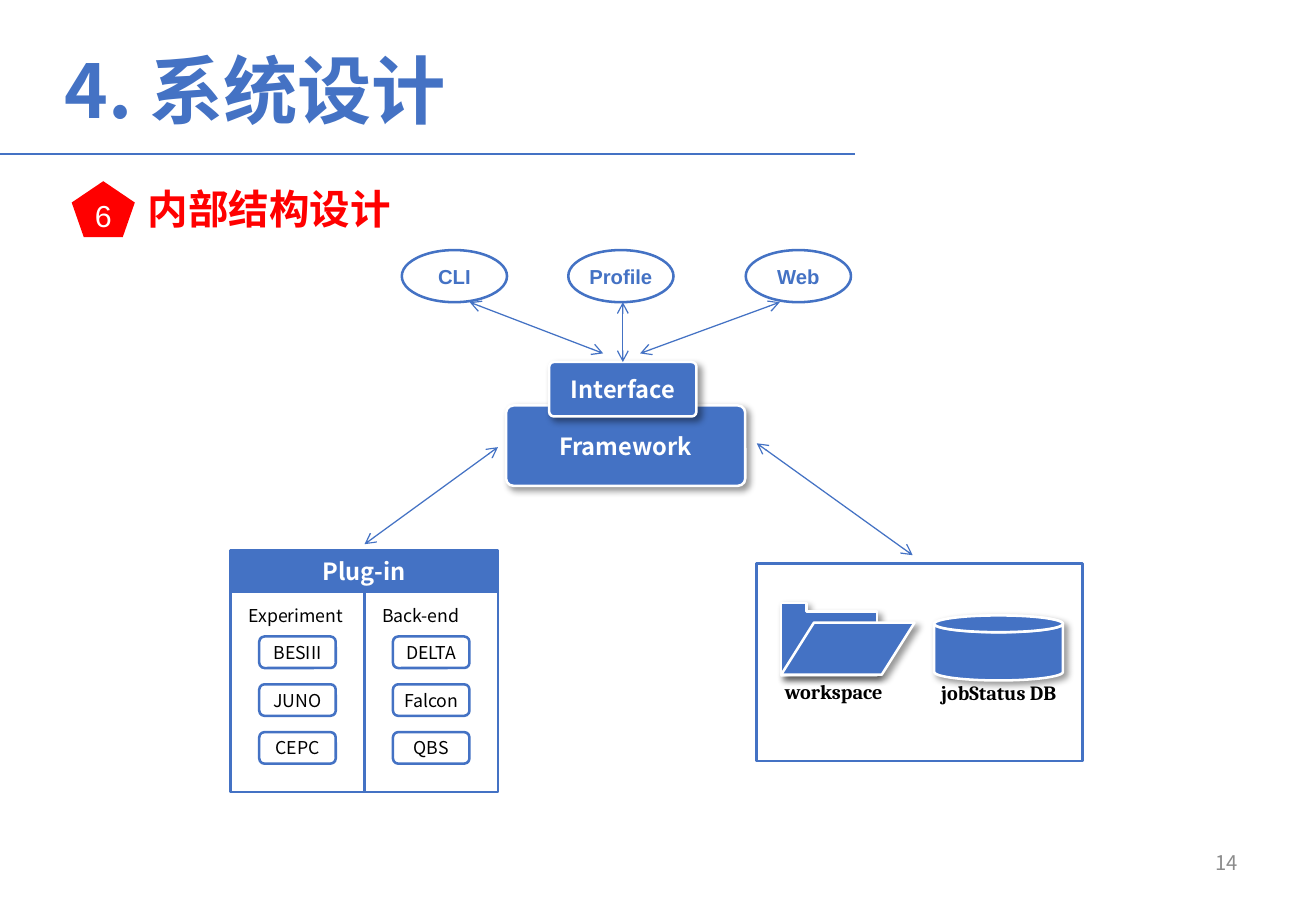
from collections import namedtuple

from lxml.etree import SubElement
from pptx import Presentation
from pptx.dml.color import RGBColor
from pptx.enum.shapes import MSO_CONNECTOR, MSO_SHAPE
from pptx.enum.text import MSO_ANCHOR, PP_ALIGN
from pptx.oxml.ns import qn
from pptx.util import Cm, Pt

BLUE = RGBColor(0x44, 0x72, 0xC4)
RED = RGBColor(0xFF, 0x00, 0x00)
WHITE = RGBColor(0xFF, 0xFF, 0xFF)
BLACK = RGBColor(0x00, 0x00, 0x00)
GRAY = RGBColor(0x8C, 0x8C, 0x8C)

SANS = "Noto Sans CJK SC"
TITLE = {"name": SANS, "size": Pt(44), "bold": True}
HEADING = {"name": SANS, "size": Pt(24), "bold": True}
BADGE = {"name": "Arial", "size": Pt(18), "bold": False}
CLIENT = {"name": "Arial", "size": Pt(12), "bold": True}
BLOCK = {"name": SANS, "size": Pt(14), "bold": True}
ITEM = {"name": SANS, "size": Pt(10.5), "bold": False}
STORE = {"name": "Cambria", "size": Pt(12), "bold": True}
NUMBER = {"name": SANS, "size": Pt(12), "bold": False}

Box = namedtuple("Box", "left top width height")  # centimetres


def inside(box, left, top, width, height):
    return Box(box.left + left, box.top + top, width, height)


def add_run(paragraph, text, style, color):
    run = paragraph.add_run()
    run.text = text
    for attribute, value in style.items():
        setattr(run.font, attribute, value)
    run.font.color.rgb = color
    SubElement(run.font._element, qn("a:ea"), typeface=style["name"])


def add_label(slide, box, text, style, color, align=PP_ALIGN.LEFT):
    label = slide.shapes.add_textbox(*map(Cm, box))
    label.text_frame.word_wrap = True
    paragraph = label.text_frame.paragraphs[0]
    paragraph.alignment = align
    add_run(paragraph, text, style, color)


def paint(shape, fill, line, raised):
    shape.shadow.inherit = False
    if fill is None:
        shape.fill.background()
    else:
        shape.fill.solid()
        shape.fill.fore_color.rgb = fill
    if line is None:
        shape.line.fill.background()
    else:
        shape.line.color.rgb = line
        shape.line.width = Pt(1.5)
    if raised:
        effects = shape._element.spPr.find(qn("a:effectLst"))
        shadow = SubElement(effects, qn("a:outerShdw"), blurRad=str(Pt(4)),
                            dist=str(Pt(3)), dir="2700000", rotWithShape="0")
        shade = SubElement(shadow, qn("a:srgbClr"), val=str(BLACK))
        SubElement(shade, qn("a:alpha"), val="40000")


def add_block(slide, kind, box, text="", style=BLOCK, color=WHITE,
              fill=None, line=BLUE, raised=False, adjust=None):
    block = slide.shapes.add_shape(kind, *map(Cm, box))
    if adjust is not None:
        block.adjustments[0] = adjust
    paint(block, fill, line, raised)
    if text:
        frame = block.text_frame
        frame.word_wrap = False
        frame.vertical_anchor = MSO_ANCHOR.MIDDLE
        frame.margin_left = frame.margin_right = frame.margin_top = frame.margin_bottom = 0
        frame.paragraphs[0].alignment = PP_ALIGN.CENTER
        add_run(frame.paragraphs[0], text, style, color)
    return block


def add_link(slide, start, end, width=0.75, arrows=True):
    link = slide.shapes.add_connector(MSO_CONNECTOR.STRAIGHT, *map(Cm, start + end))
    link.line.color.rgb = BLUE
    link.line.width = Pt(width)
    if arrows:
        for tip in ("a:headEnd", "a:tailEnd"):
            SubElement(link.line._get_or_add_ln(), qn(tip), type="arrow")
    SubElement(link._element.spPr, qn("a:effectLst"))
    return link


def draw_title(slide, box):
    title = slide.shapes.title
    title.left, title.top, title.width, title.height = map(Cm, box)
    title.text_frame.vertical_anchor = MSO_ANCHOR.MIDDLE
    paragraph = title.text_frame.paragraphs[0]
    paragraph.alignment = PP_ALIGN.LEFT
    add_run(paragraph, "4. 系统设计", TITLE, BLUE)
    # Rule under the title
    rule = box.top + 2.46
    add_link(slide, (0, rule), (17.88, rule), 1.25, arrows=False)


def draw_heading(slide, box):
    add_block(slide, MSO_SHAPE.REGULAR_PENTAGON, inside(box, 0, 0.07, 1.32, 1.17),
              "6", BADGE, fill=RED, line=None)
    add_label(slide, inside(box, 1.34, 0, box.width - 1.34, box.height),
              "内部结构设计", HEADING, RED)


def draw_core(slide, box):
    # Clients
    for name, left in (("CLI", 0), ("Profile", 3.48), ("Web", 7.19)):
        add_block(slide, MSO_SHAPE.OVAL, inside(box, left, 0, 2.2, 1.09), name, CLIENT, BLUE)
    # Framework with its interface on top
    add_block(slide, MSO_SHAPE.ROUNDED_RECTANGLE, inside(box, 2.18, 3.25, 5, 1.68),
              "Framework", fill=BLUE, line=WHITE, raised=True, adjust=0.09)
    port = inside(box, 3.08, 2.34, 3.08, 1.14)
    interface = add_block(slide, MSO_SHAPE.ROUNDED_RECTANGLE, port, "Interface",
                          fill=BLUE, line=WHITE, raised=True, adjust=0.09)
    # Arrows between clients and interface
    middle = port.left + port.width / 2
    profile_link = add_link(slide, (middle, port.top), (middle, box.top + 1.09))
    profile_link.begin_connect(interface, 0)
    for near, far in ((4.21, 1.42), (4.98, 7.9)):
        add_link(slide, (box.left + near, box.top + 2.16), (box.left + far, box.top + 1.09))


def draw_plugins(slide, box):
    header = 0.86
    columns = (("Experiment", ("BESIII", "JUNO", "CEPC")),
               ("Back-end", ("DELTA", "Falcon", "QBS")))
    width = box.width / len(columns)
    for index, (name, items) in enumerate(columns):
        column = inside(box, index * width, header, width, box.height - header)
        add_block(slide, MSO_SHAPE.RECTANGLE, column)
        add_label(slide, inside(column, 0.13, 0.16, 2.7, 0.71), name, ITEM, BLACK)
        for row, item in enumerate(items):
            add_block(slide, MSO_SHAPE.ROUNDED_RECTANGLE,
                      inside(column, 0.6, 0.94 + row, 1.6, 0.66), item, ITEM, BLACK)
    add_block(slide, MSO_SHAPE.RECTANGLE, inside(box, 0, 0, box.width, header),
              "Plug-in", fill=BLUE)


def draw_storage(slide, box):
    solid = {"fill": BLUE, "line": WHITE, "raised": True}
    # Folder: tabbed back and slanted front
    back = inside(box, 0.51, 0.83, 2, 1.52)
    right, bottom = back.left + back.width, back.top + back.height
    tab_right, tab_bottom = back.left + 0.53, back.top + 0.18
    outline = slide.shapes.build_freeform(Cm(back.left), Cm(back.top))
    outline.add_line_segments([(Cm(x), Cm(y)) for x, y in (
        (tab_right, back.top), (tab_right, tab_bottom), (right, tab_bottom),
        (right, bottom), (back.left, bottom))])
    paint(outline.convert_to_shape(), **solid)
    add_block(slide, MSO_SHAPE.PARALLELOGRAM, inside(box, 0.51, 1.24, 2.79, 1.09),
              adjust=0.63, **solid)
    # Database drum with a flat lid
    add_block(slide, MSO_SHAPE.CAN, inside(box, 3.71, 1.09, 2.69, 1.36), adjust=0.26, **solid)
    add_block(slide, MSO_SHAPE.OVAL, inside(box, 3.71, 1.09, 2.69, 0.35), fill=BLUE, line=WHITE)
    # Captions and frame
    for caption, left, top, width in (("workspace", 0.21, 2.29, 2.8),
                                      ("jobStatus DB", 3.46, 2.33, 3.2)):
        add_label(slide, inside(box, left, top, width, 0.81), caption, STORE, BLACK,
                  PP_ALIGN.CENTER)
    add_block(slide, MSO_SHAPE.RECTANGLE, box)


def main():
    deck = Presentation()
    deck.slide_width, deck.slide_height = Cm(27.51), Cm(19.05)
    slide = deck.slides.add_slide(deck.slide_layouts[5])
    draw_title(slide, Box(1.09, 0.76, 22.1, 2.2))
    draw_heading(slide, Box(1.5, 3.72, 8.2, 1.27))
    draw_core(slide, Box(8.4, 5.23, 9.4, 4.93))
    draw_plugins(slide, Box(4.82, 11.51, 5.59, 5.05))
    draw_storage(slide, Box(15.82, 11.78, 6.81, 4.14))
    # Arrows from the framework to both panels
    add_link(slide, (7.62, 11.38), (10.41, 9.35))
    add_link(slide, (19.08, 11.61), (15.82, 9.27))
    # Page number
    add_label(slide, Box(19.7, 17.65, 6.43, 1.02), "14", NUMBER, GRAY, PP_ALIGN.RIGHT)
    deck.save("out.pptx")


if __name__ == "__main__":
    main()
